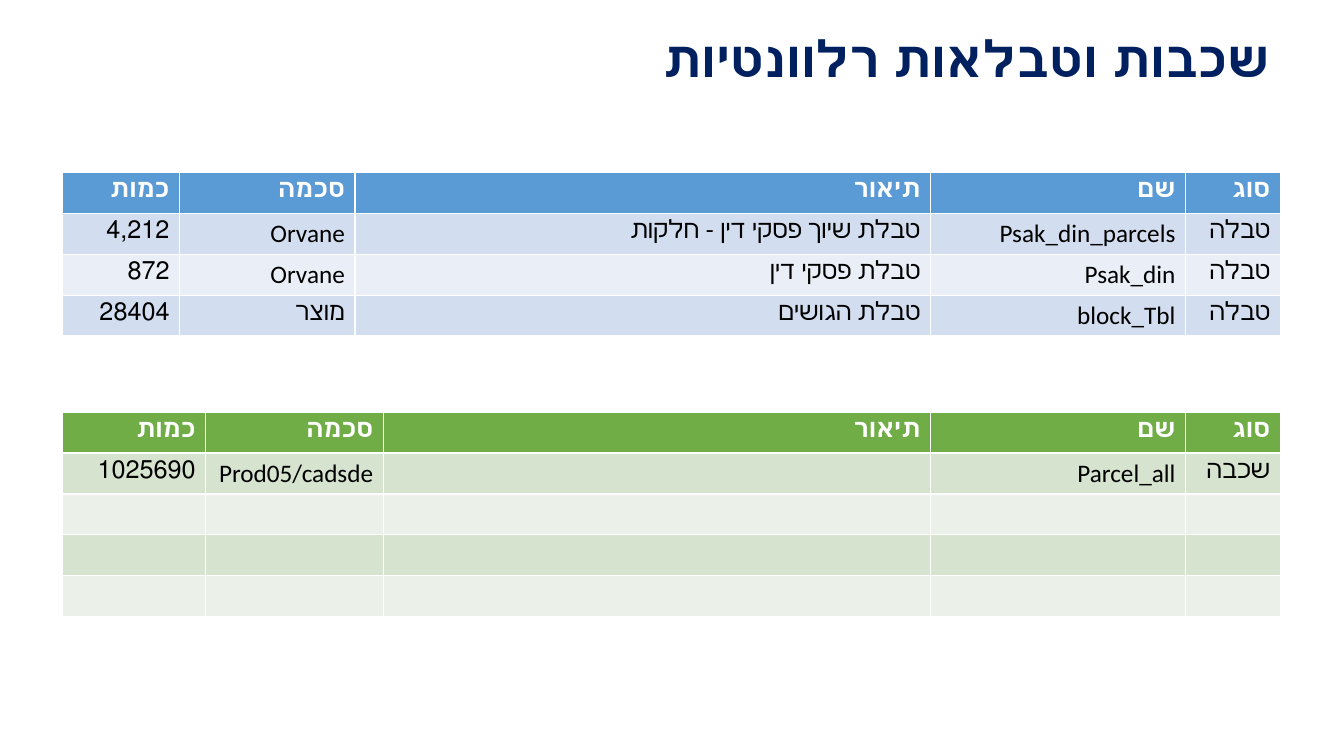
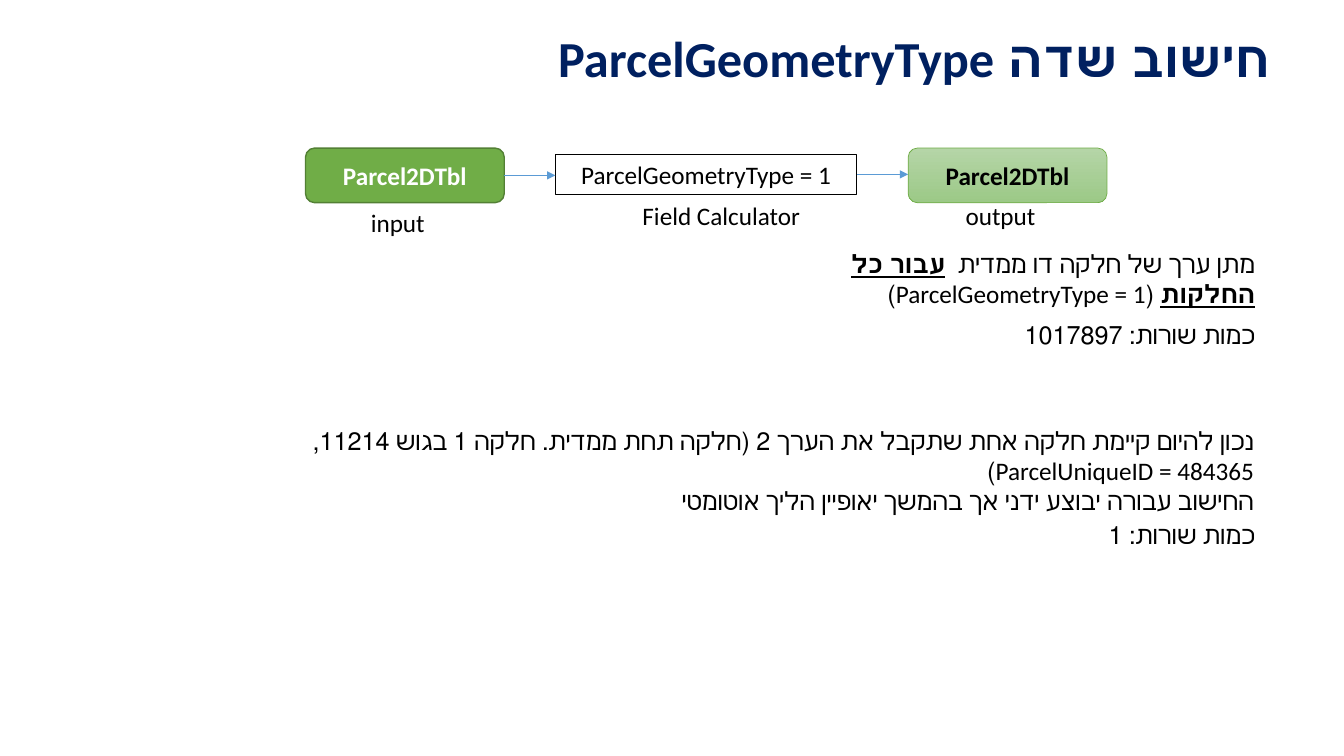
from lxml import etree
from pptx import Presentation
from pptx.dml.color import RGBColor
from pptx.enum.shapes import MSO_CONNECTOR, MSO_SHAPE
from pptx.enum.text import MSO_ANCHOR, PP_ALIGN
from pptx.oxml.ns import qn
from pptx.util import Pt

LEFT, CENTER, RIGHT = PP_ALIGN.LEFT, PP_ALIGN.CENTER, PP_ALIGN.RIGHT
MIDDLE = MSO_ANCHOR.MIDDLE
ROUNDED = MSO_SHAPE.ROUNDED_RECTANGLE
STRAIGHT = MSO_CONNECTOR.STRAIGHT
TITLE_ONLY = 5
FONT = "Calibri"
BODY_SIZE, TITLE_SIZE = 18, 36
MARGIN, CONTENT_WIDTH = 44.8, 869.8
ROW_HEIGHT = 29.2
LABEL_HEIGHT = 29
NAME_WIDTH, KIND_WIDTH = 182.2, 67.7
COLORS = {
    "title": "002060", "text": "000000", "white": "FFFFFF",
    "blue": "5B9BD5", "blue_band": "D2DEEF", "blue_pale": "EAEFF7",
    "green": "70AD47", "green_band": "D5E3CF", "green_pale": "EBF1E9",
    "green_edge": "538035", "fade_top": "B5D5A7", "fade_bottom": "9CC987",
}
HEADERS = ("כמות", "סכמה", "תיאור", "שם", "סוג")
SOURCE_TABLES = (
    ("4,212", "Orvane", "טבלת שיוך פסקי דין - חלקות", "Psak_din_parcels", "טבלה"),
    ("872", "Orvane", "טבלת פסקי דין", "Psak_din", "טבלה"),
    ("28404", "מוצר", "טבלת הגושים", "block_Tbl", "טבלה"),
)
LAYERS = (("1025690", "Prod05/cadsde", "", "Parcel_all", "שכבה"),) + (("",) * 5,) * 3


def color(name):
    """Return the RGB value of a named colour."""
    return RGBColor.from_string(COLORS[name])


def add_span(para, text, tint="text", size=BODY_SIZE, bold=False, underline=False):
    """Append one formatted run to a paragraph."""
    span = para.add_run()
    span.text = text
    font = span.font
    font.name, font.size, font.bold = FONT, Pt(size), bold
    font.underline = underline
    font.color.rgb = color(tint)


def set_rtl(para):
    """Make a paragraph read from right to left, aligned right."""
    para.alignment = RIGHT
    para._p.get_or_add_pPr().set("rtl", "1")


def add_titled_page(deck, text):
    """Add a page whose title placeholder has the shared title style."""
    page = deck.slides.add_slide(deck.slide_layouts[TITLE_ONLY])
    title = page.shapes.title
    title.left, title.top = Pt(MARGIN), Pt(19.4)
    title.width, title.height = Pt(CONTENT_WIDTH), Pt(49)
    title.text_frame.vertical_anchor = MIDDLE
    para = title.text_frame.paragraphs[0]
    set_rtl(para)
    para.line_spacing = 0.9
    add_span(para, text, "title", TITLE_SIZE, bold=True)
    return page


def add_layer_table(page, top, rows, side_widths, theme):
    """Add a banded table with the shared headers."""
    grid = (HEADERS,) + rows
    table = page.shapes.add_table(
        len(grid), len(HEADERS), Pt(MARGIN), Pt(top),
        Pt(CONTENT_WIDTH), Pt(ROW_HEIGHT * len(grid))).table
    outer = (*side_widths, NAME_WIDTH, KIND_WIDTH)
    widths = (*side_widths, CONTENT_WIDTH - sum(outer), NAME_WIDTH, KIND_WIDTH)
    for column, width in zip(table.columns, widths):
        column.width = Pt(width)
    for row_index, texts in enumerate(grid):
        is_header = row_index == 0
        band = "_band" if row_index % 2 else "_pale"
        for column_index, text in enumerate(texts):
            cell = table.cell(row_index, column_index)
            cell.fill.solid()
            cell.fill.fore_color.rgb = color(theme if is_header else theme + band)
            para = cell.text_frame.paragraphs[0]
            set_rtl(para)
            if text:
                add_span(para, text, "white" if is_header else "text", bold=is_header)


def add_label(page, left, top, width, text, align=LEFT):
    """Add a one-line text box and return it."""
    box = page.shapes.add_textbox(Pt(left), Pt(top), Pt(width), Pt(LABEL_HEIGHT))
    box.text_frame.word_wrap = True
    para = box.text_frame.paragraphs[0]
    para.alignment = align
    add_span(para, text)
    return box


def add_note(page, left, top, width, height, paragraphs):
    """Add right-to-left paragraphs, each a list of (text, emphasised) spans."""
    box = page.shapes.add_textbox(Pt(left), Pt(top), Pt(width), Pt(height))
    frame = box.text_frame
    frame.word_wrap = True
    for index, spans in enumerate(paragraphs):
        para = frame.add_paragraph() if index else frame.paragraphs[0]
        set_rtl(para)
        for text, emphasised in spans:
            add_span(para, text, bold=emphasised, underline=emphasised)


def add_data_box(page, left, text, tint, edge, edge_width):
    """Add a rounded data box and return it, ready for its fill."""
    box = page.shapes.add_shape(ROUNDED, Pt(left), Pt(105.8), Pt(142), Pt(39))
    box.shadow.inherit = False
    box.line.color.rgb = color(edge)
    box.line.width = Pt(edge_width)
    box.text_frame.vertical_anchor = MIDDLE
    para = box.text_frame.paragraphs[0]
    para.alignment = CENTER
    add_span(para, text, tint, bold=True)
    return box


def add_arrow(page, start, end, y):
    """Add a thin horizontal arrow."""
    arrow = page.shapes.add_connector(STRAIGHT, Pt(start), Pt(y), Pt(end), Pt(y))
    arrow.line.color.rgb = color("blue")
    arrow.line.width = Pt(0.5)
    etree.SubElement(arrow.line._get_or_add_ln(), qn("a:tailEnd"), type="triangle")
    etree.SubElement(arrow._element.spPr, qn("a:effectLst"))


def build_tables_page(deck):
    """Build the page that lists the relevant tables and layers."""
    page = add_titled_page(deck, "שכבות וטבלאות רלוונטיות")
    add_layer_table(page, 123.2, SOURCE_TABLES, (83.5, 125.3), "blue")
    add_layer_table(page, 294.4, LAYERS, (102.2, 126.8), "green")


def build_field_page(deck):
    """Build the page that explains the field calculation."""
    page = add_titled_page(deck, "חישוב שדה ParcelGeometryType")
    formula = add_label(page, 396.7, 110.2, 215.3, "ParcelGeometryType = 1", CENTER)
    formula.line.color.rgb = color("text")
    formula.line.width = Pt(0.75)

    output = add_data_box(page, 648.7, "Parcel2DTbl", "text", "green", 0.5)
    output.fill.gradient()
    output.fill.gradient_angle = 270
    for stop, name in zip(output.fill.gradient_stops, ("fade_top", "fade_bottom")):
        stop.color.rgb = color(name)
    source = add_data_box(page, 218.2, "Parcel2DTbl", "white", "green_edge", 1)
    source.fill.solid()
    source.fill.fore_color.rgb = color("green")

    add_arrow(page, 360.2, 396.7, 125.3)
    add_arrow(page, 612, 648.7, 124.6)
    add_label(page, 257.8, 144.7, 62.6, "input")
    add_label(page, 682.6, 139.7, 71.3, "output")
    add_label(page, 430.6, 139.7, 169.2, "Field Calculator", CENTER)

    add_note(page, 542.9, 173.5, 360.7, 51, [[
        ("מתן ערך של חלקה דו ממדית  ", False),
        ("עבור כל החלקות", True),
        (" (ParcelGeometryType = 1)", False)]])
    add_note(page, 137.5, 300.2, 765.4, 72.7, [
        [("נכון להיום קיימת חלקה אחת שתקבל את הערך 2 (חלקה תחת ממדית. "
          "חלקה 1 בגוש 11214, ParcelUniqueID = 484365)", False)],
        [("החישוב עבורה יבוצע ידני אך בהמשך יאופיין הליך אוטומטי", False)]])
    for top, count in ((224.6, "1017897"), (367.2, "1")):
        add_note(page, 697.7, top, 205.9, LABEL_HEIGHT,
                 [[(f"כמות שורות: {count}", False)]])


def main():
    """Build and save the deck."""
    deck = Presentation()
    deck.slide_width, deck.slide_height = Pt(960), Pt(540)
    build_tables_page(deck)
    build_field_page(deck)
    deck.save("out.pptx")


main()
